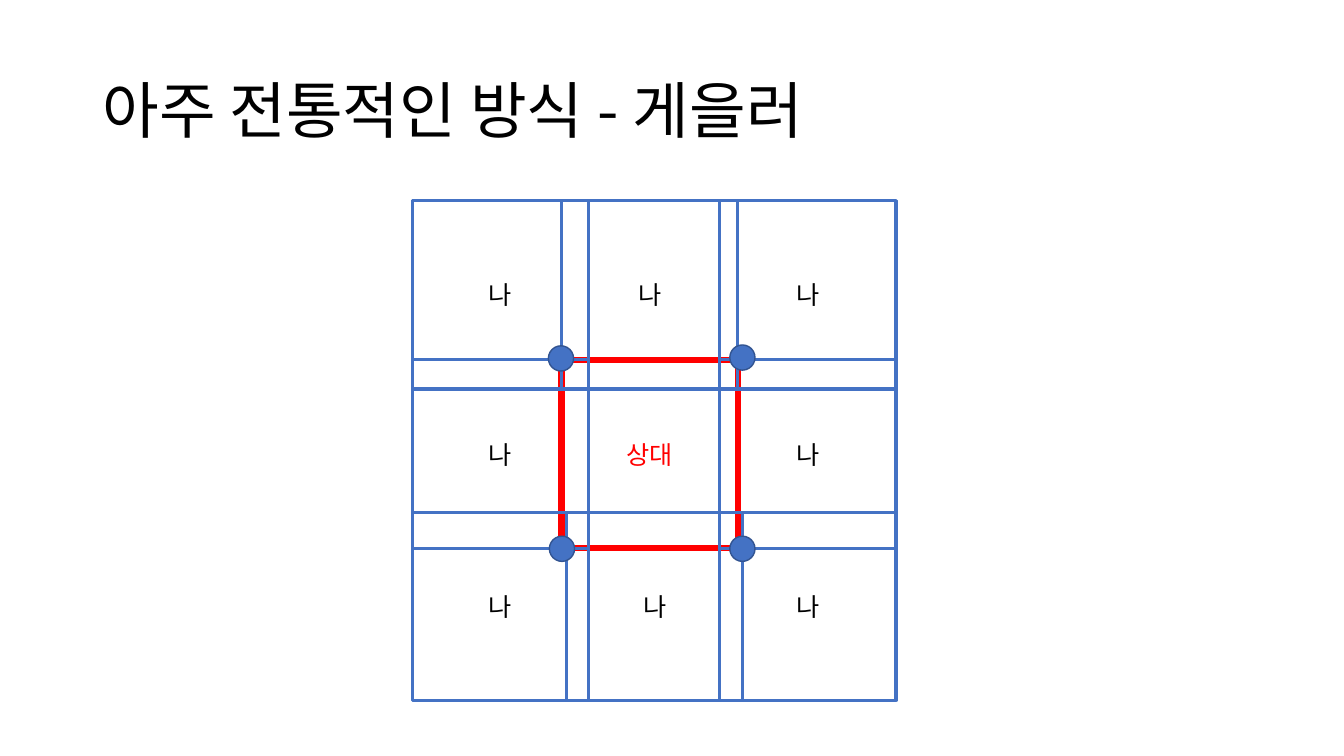
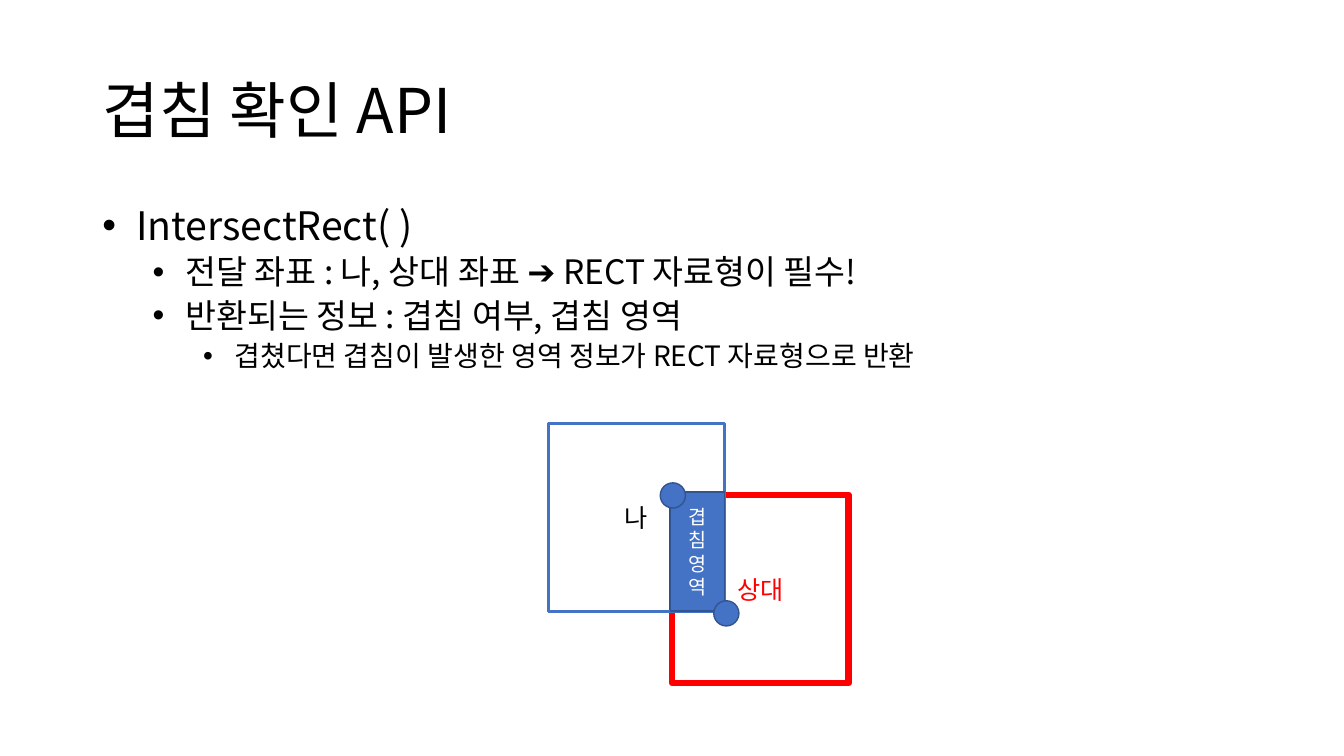
from dataclasses import dataclass
from itertools import product

from lxml import etree
from pptx import Presentation
from pptx import util as u
from pptx.dml.color import RGBColor
from pptx.enum import shapes, text
from pptx.oxml.ns import qn

FONT = "Noto Sans CJK KR"
COLORS = {
    "black": "000000",
    "white": "FFFFFF",
    "red": "FF0000",
    "blue": "4472C4",
    "navy": "325491",
}
SLIDE_W, SLIDE_H = 960, 540
MARGIN, CONTENT_W = 66, 828
RECT_W, RECT_H = 126, 134.6
DOT = 18
STEP = 36  # indent per outline level
HANG = 18


@dataclass
class Box:
    x: float
    y: float
    label: str = "나"
    w: float = RECT_W
    h: float = RECT_H
    line: str = "blue"
    weight: float = 2.25
    color: str = "black"
    size: float = 18
    fill: str | None = None


@dataclass
class Bullet:
    label: str
    level: int
    size: float
    before: float = 5


def rgb(name: str) -> RGBColor:
    return RGBColor.from_string(COLORS[name])


def add_run(p, label: str, size: float, color: str) -> None:
    r = p.add_run()
    r.text = label
    r.font.size = u.Pt(size)
    r.font.name = FONT
    r.font.color.rgb = rgb(color)
    etree.SubElement(r.font._element, qn("a:ea"), typeface=FONT)


def add_figure(slide, kind, x: float, y: float, w: float, h: float,
               fill: str | None, line: str, weight: float):
    sp = slide.shapes.add_shape(kind, u.Pt(x), u.Pt(y), u.Pt(w), u.Pt(h))
    sp.shadow.inherit = False
    if fill:
        sp.fill.solid()
        sp.fill.fore_color.rgb = rgb(fill)
    else:
        sp.fill.background()
    sp.line.color.rgb = rgb(line)
    sp.line.width = u.Pt(weight)
    return sp


def add_box(slide, box: Box) -> None:
    sp = add_figure(slide, shapes.MSO_SHAPE.RECTANGLE, box.x, box.y, box.w,
                    box.h, box.fill, box.line, box.weight)
    tf = sp.text_frame
    tf.word_wrap = True
    tf.vertical_anchor = text.MSO_ANCHOR.MIDDLE
    p = tf.paragraphs[0]
    p.alignment = text.PP_ALIGN.CENTER
    add_run(p, box.label, box.size, box.color)


def add_opponent(slide, x: float, y: float) -> None:
    add_box(slide, Box(x, y, "상대", line="red", weight=4.5, color="red"))


def add_dots(slide, corners: list[tuple[float, float]]) -> None:
    for x, y in corners:
        add_figure(slide, shapes.MSO_SHAPE.OVAL, x, y, DOT, DOT,
                   "blue", "navy", 1)


def add_titled_slide(prs, title: str):
    slide = prs.slides.add_slide(prs.slide_layouts.get_by_name("Title Only"))
    sp = slide.shapes.title
    sp.left, sp.top = u.Pt(MARGIN), u.Pt(28.8)
    sp.width, sp.height = u.Pt(CONTENT_W), u.Pt(104.4)
    tf = sp.text_frame
    tf.word_wrap = True
    tf.auto_size = text.MSO_AUTO_SIZE.NONE
    tf.vertical_anchor = text.MSO_ANCHOR.MIDDLE
    p = tf.paragraphs[0]
    p.alignment = text.PP_ALIGN.LEFT
    p.line_spacing = 0.9
    add_run(p, title, 44, "black")
    return slide


def add_bullets(slide, bullets: list[Bullet]) -> None:
    sp = slide.shapes.add_textbox(u.Pt(MARGIN), u.Pt(144),
                                  u.Pt(CONTENT_W), u.Pt(342.6))
    tf = sp.text_frame
    tf.word_wrap = True
    for i, bullet in enumerate(bullets):
        p = tf.add_paragraph() if i else tf.paragraphs[0]
        p.level = bullet.level
        p.line_spacing = 0.9
        p.space_before = u.Pt(bullet.before)
        add_run(p, bullet.label, bullet.size, "black")
        pPr = p._p.get_or_add_pPr()
        pPr.set("marL", str(u.Pt(HANG + bullet.level * STEP)))
        pPr.set("indent", str(-u.Pt(HANG)))
        etree.SubElement(pPr, qn("a:buFont"), typeface="Arial")
        etree.SubElement(pPr, qn("a:buChar"), char="•")


def build_neighbours(prs) -> None:
    """The opponent in the centre, overlapped from all eight sides."""
    slide = add_titled_slide(prs, "아주 전통적인 방식 - 게을러")
    columns = (294.5, 401, 514)
    rows = (143.3, 257, 365.8)
    add_opponent(slide, columns[1], rows[1])
    for row, col in product(range(3), repeat=2):
        if (row, col) != (1, 1):
            nudge = 3.6 if (row, col) == (2, 1) else 0
            add_box(slide, Box(columns[col] + nudge, rows[row]))
    add_dots(slide, [(391.7, 247), (521.3, 383), (521.3, 246.4), (392.4, 383)])


def build_intersection(prs) -> None:
    slide = add_titled_slide(prs, "겹침 확인 API")
    add_bullets(slide, [
        Bullet(" IntersectRect( )", 0, 28, before=10),
        Bullet(" 전달 좌표 : 나, 상대 좌표 ➔ RECT 자료형이 필수!", 1, 24),
        Bullet(" 반환되는 정보 : 겹침 여부, 겹침 영역", 1, 24),
        Bullet(" 겹쳤다면 겹침이 발생한 영역 정보가 RECT 자료형으로 반환", 2, 20),
    ])
    add_opponent(slide, 480.2, 353.5)
    add_box(slide, Box(391.7, 302.4))
    add_box(slide, Box(478.8, 351.4, "겹침 영역", w=38.9, h=85, line="navy",
                       weight=1, color="white", size=14, fill="blue"))
    add_dots(slide, [(471.6, 344.9), (509.8, 429.1)])


def main() -> None:
    prs = Presentation()
    prs.slide_width, prs.slide_height = u.Pt(SLIDE_W), u.Pt(SLIDE_H)
    build_neighbours(prs)
    build_intersection(prs)
    prs.save("out.pptx")


if __name__ == "__main__":
    main()
